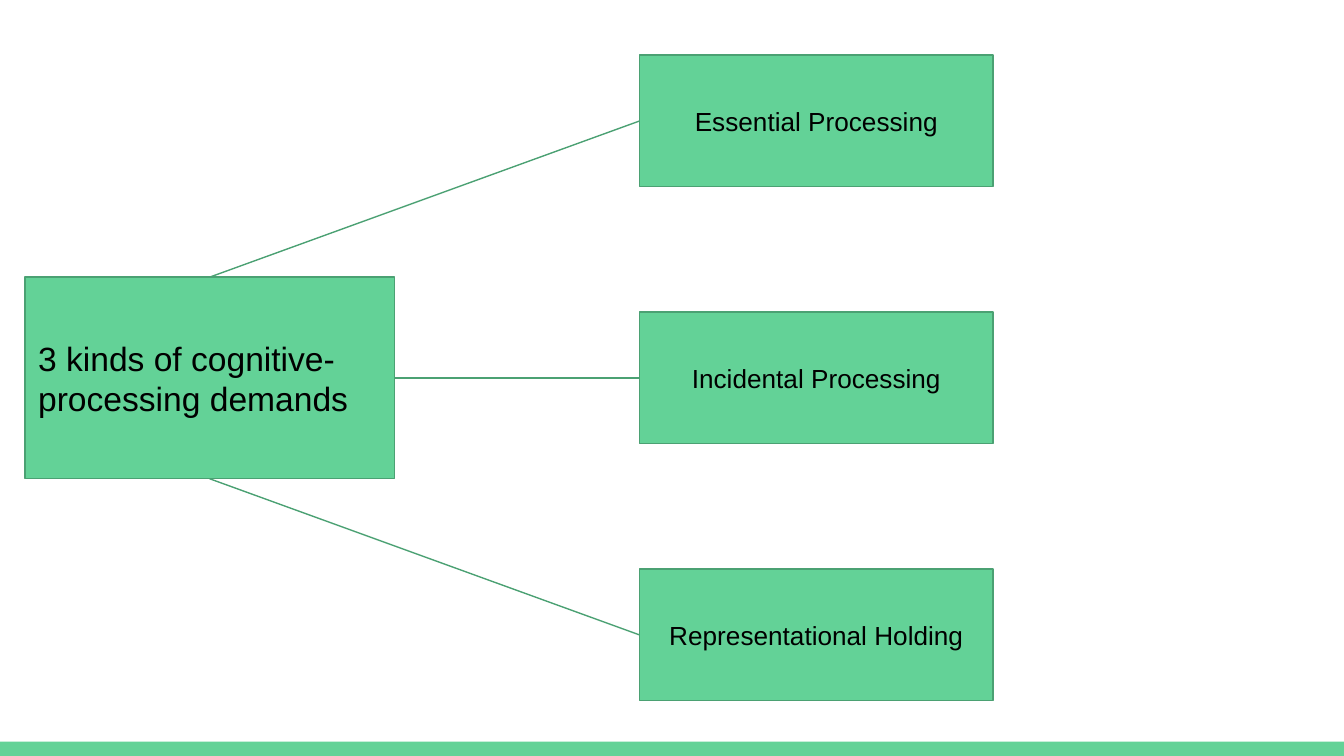
"""Build a slide that links cognitive-processing demands to their three kinds."""
from pptx import Presentation
from pptx.dml.color import RGBColor
from pptx.enum.shapes import MSO_CONNECTOR, MSO_SHAPE
from pptx.enum.text import MSO_ANCHOR, PP_ALIGN
from pptx.oxml.ns import qn
from pptx.util import Inches, Pt
from lxml.etree import SubElement

COLORS = {"green": "63D297", "outline": "4BA173", "text": "000000"}
TOP, LEFT, BOTTOM, RIGHT = range(4)

deck = Presentation()
deck.slide_width = Inches(10)
deck.slide_height = deck.slide_width * 9 // 16
column, row = deck.slide_width / 100, deck.slide_height / 100
slide = deck.slides.add_slide(deck.slide_layouts[6])


def add_block(left, middle, width, height):
    block = slide.shapes.add_shape(
        MSO_SHAPE.RECTANGLE,
        round(left * column), round((middle - height / 2) * row),
        round(width * column), round(height * row))
    block.shadow.inherit = False
    block.fill.solid()
    block.fill.fore_color.rgb = RGBColor.from_string(COLORS["green"])
    block.line.fill.background()
    return block


def add_topic(wording, size, align, *place):
    topic = add_block(*place)
    topic.line.color.rgb = RGBColor.from_string(COLORS["outline"])
    topic.line.width = Pt(0.75)
    frame = topic.text_frame
    frame.word_wrap = True
    frame.vertical_anchor = MSO_ANCHOR.MIDDLE
    frame.margin_left = frame.margin_right = Inches(0.1)
    frame.margin_top = frame.margin_bottom = Inches(0.1)
    paragraph = frame.paragraphs[0]
    paragraph.alignment = align
    run = paragraph.add_run()
    run.text = wording
    run.font.name = "Arial"
    run.font.size = Pt(size)
    run.font.color.rgb = RGBColor.from_string(COLORS["text"])
    return topic


footer_band = add_block(0, 99.05, 100, 1.9)
overview = add_topic("3 kinds of cognitive-processing demands", 18,
                     PP_ALIGN.LEFT, 1.85, 50, 27.5, 26.67)

demands = [("Essential Processing", TOP),
           ("Incidental Processing", RIGHT),
           ("Representational Holding", BOTTOM)]
for index, (demand, exit_side) in enumerate(demands):
    kind = add_topic(demand, 14, PP_ALIGN.CENTER,
                     47.6, 50 + 34 * (index - 1), 26.3, 17.4)
    branch = slide.shapes.add_connector(MSO_CONNECTOR.STRAIGHT, 0, 0, 0, 0)
    branch.begin_connect(overview, exit_side)
    branch.end_connect(kind, LEFT)
    branch.line.color.rgb = RGBColor.from_string(COLORS["outline"])
    branch.line.width = Pt(0.75)
    SubElement(branch._element.spPr, qn("a:effectLst"))

deck.save("out.pptx")
